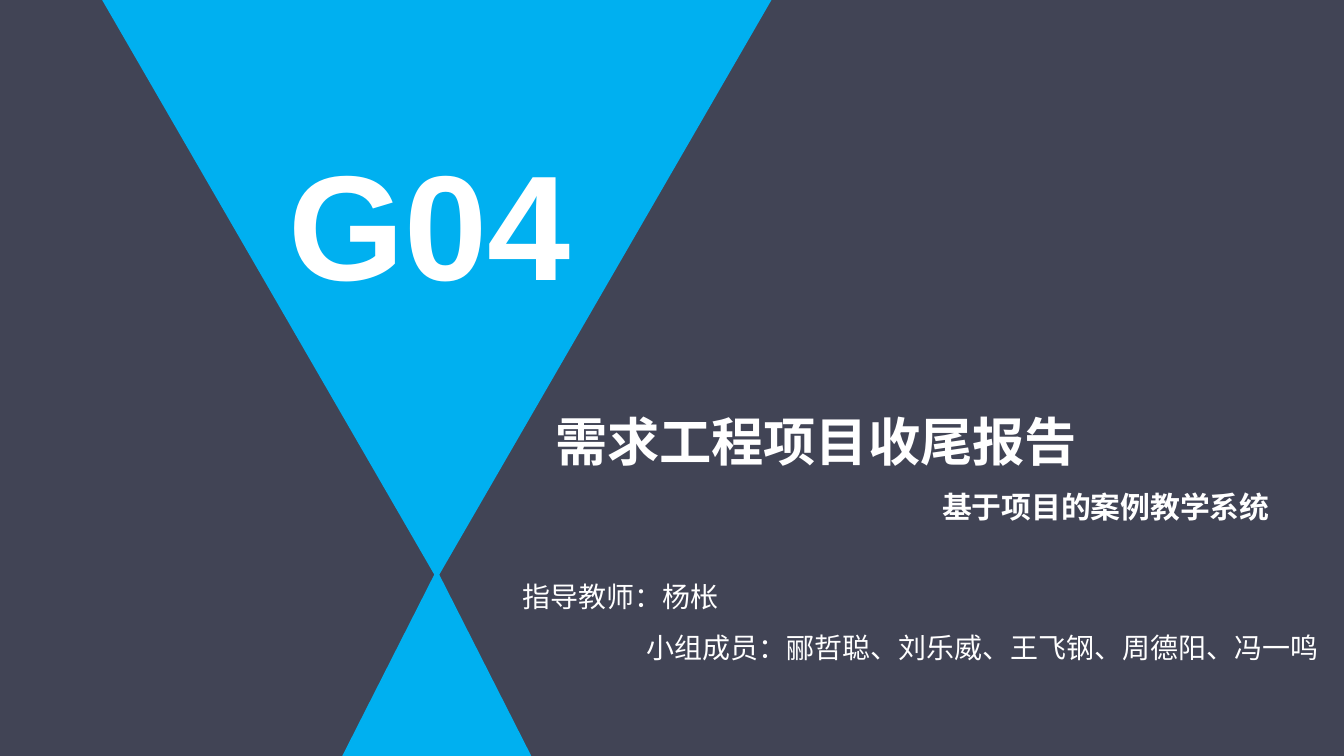
from pptx import Presentation
from pptx.dml.color import RGBColor
from pptx.enum import shapes, text
from pptx.oxml.ns import qn
from pptx.util import Inches, Pt

SLATE = RGBColor(0x41, 0x44, 0x55)
BLUE = RGBColor(0x00, 0xB0, 0xF0)
WHITE = RGBColor(0xFF, 0xFF, 0xFF)
CJK = "Noto Sans CJK SC"
LEFT, RIGHT = text.PP_ALIGN.LEFT, text.PP_ALIGN.RIGHT

# Content: boxes are left, top, width, height in inches
TRIANGLES = [  # box, rotation
    ((0.77, -0.01, 4.96, 4.29), 180),
    ((2.56, 4.27, 1.38, 1.36), 0),
]
TITLE = {
    "box": (4.06, 2.81, 5.83, 0.7),
    "lines": [("需求工程项目收尾报告", LEFT)],
    "font": {"name": CJK, "size": Pt(28), "bold": True},
}
SUBTITLE = {
    "box": (6.94, 3.49, 5.83, 0.43),
    "lines": [("基于项目的案例教学系统", LEFT)],
    "font": {"name": CJK, "size": Pt(16), "bold": True},
}
PEOPLE = {
    "box": (3.82, 4.17, 6.06, 0.79),
    "lines": [
        ("指导教师：杨枨", LEFT),
        ("小组成员：郦哲聪、刘乐威、王飞钢、周德阳、冯一鸣", RIGHT),
    ],
    "font": {"name": CJK, "size": Pt(15), "bold": False},
}
GROUP = {
    "box": (2.05, 0.93, 2.44, 1.45),
    "lines": [("G04", LEFT)],
    "font": {"name": "Arial", "size": Pt(80), "bold": True},
    "spacing": 1.0,
    "insets": (0.1, 0.05),
    "anchor": text.MSO_ANCHOR.TOP,
}


def set_attributes(target, values):
    for key, value in values.items():
        setattr(target, key, value)


def place(shape, box):
    sides = ("left", "top", "width", "height")
    set_attributes(shape, dict(zip(sides, map(Inches, box))))


def write(shape, block):
    place(shape, block["box"])
    across, down = map(Inches, block.get("insets", (0.07, 0.04)))
    frame = shape.text_frame
    set_attributes(frame, {
        "word_wrap": True,
        "auto_size": text.MSO_AUTO_SIZE.SHAPE_TO_FIT_TEXT,
        "vertical_anchor": block.get("anchor", text.MSO_ANCHOR.MIDDLE),
        "margin_left": across, "margin_right": across,
        "margin_top": down, "margin_bottom": down,
    })
    for index, (words, alignment) in enumerate(block["lines"]):
        paragraph = frame.add_paragraph() if index else frame.paragraphs[0]
        set_attributes(paragraph, {
            "alignment": alignment,
            "line_spacing": block.get("spacing", 1.5),
            "space_before": Pt(0),
        })
        run = paragraph.add_run()
        run.text = words
        set_attributes(run.font, block["font"])
        run.font.color.rgb = WHITE
        # East Asian typeface follows the Latin one
        east_asian = run._r.get_or_add_rPr().makeelement(
            qn("a:ea"), {"typeface": block["font"]["name"]})
        run._r.rPr.append(east_asian)


def main():
    prs = Presentation()
    # Widescreen, 16 to 9
    prs.slide_width = Inches(10)
    prs.slide_height = Inches(10) * 9 // 16
    slide = prs.slides.add_slide(prs.slide_layouts[5])
    slide.background.fill.solid()
    slide.background.fill.fore_color.rgb = SLATE

    # Hourglass of two triangles
    for box, rotation in TRIANGLES:
        triangle = slide.shapes.add_shape(
            shapes.MSO_SHAPE.ISOSCELES_TRIANGLE, *map(Inches, box))
        triangle.rotation = rotation
        triangle.shadow.inherit = False
        triangle.fill.solid()
        triangle.fill.fore_color.rgb = BLUE
        triangle.line.color.rgb = BLUE
        triangle.line.width = Pt(2)

    # Title and the other texts
    write(slide.shapes.title, TITLE)
    for block in (PEOPLE, GROUP, SUBTITLE):
        write(slide.shapes.add_textbox(*map(Inches, block["box"])), block)

    prs.save("out.pptx")


if __name__ == "__main__":
    main()
